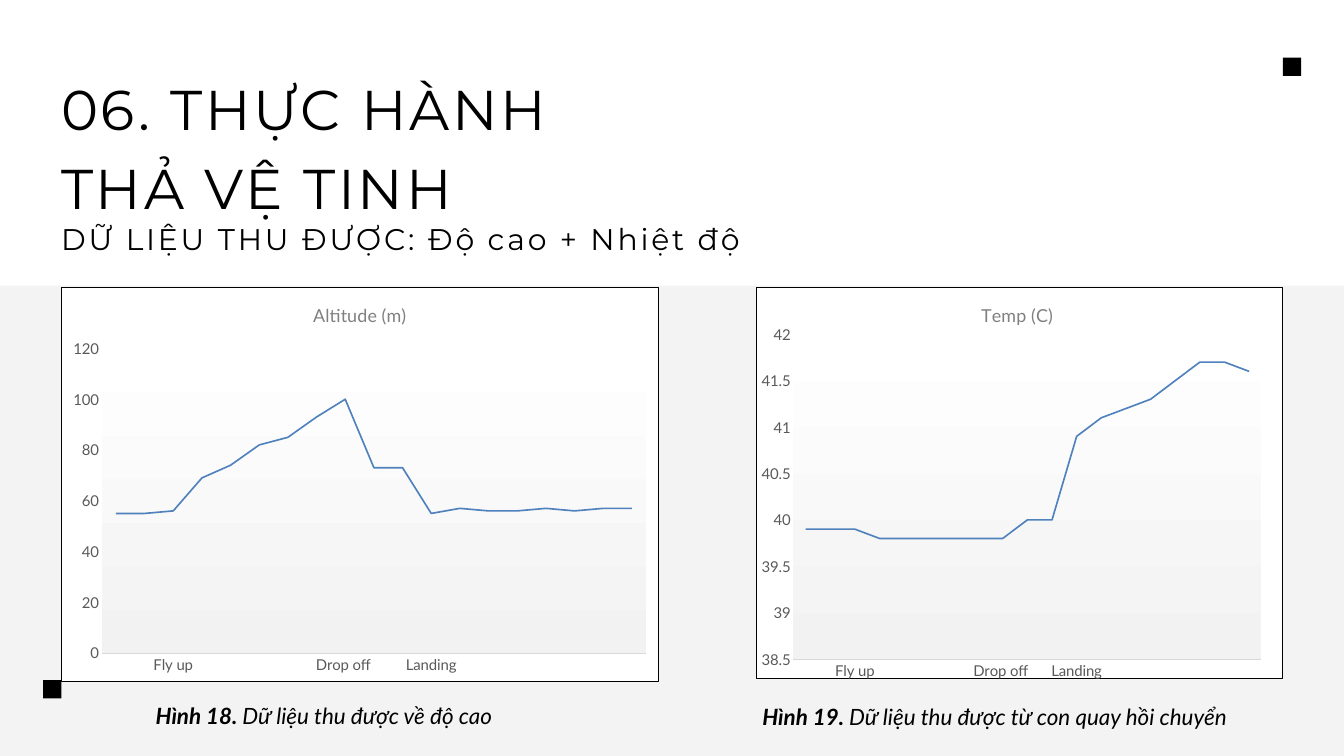
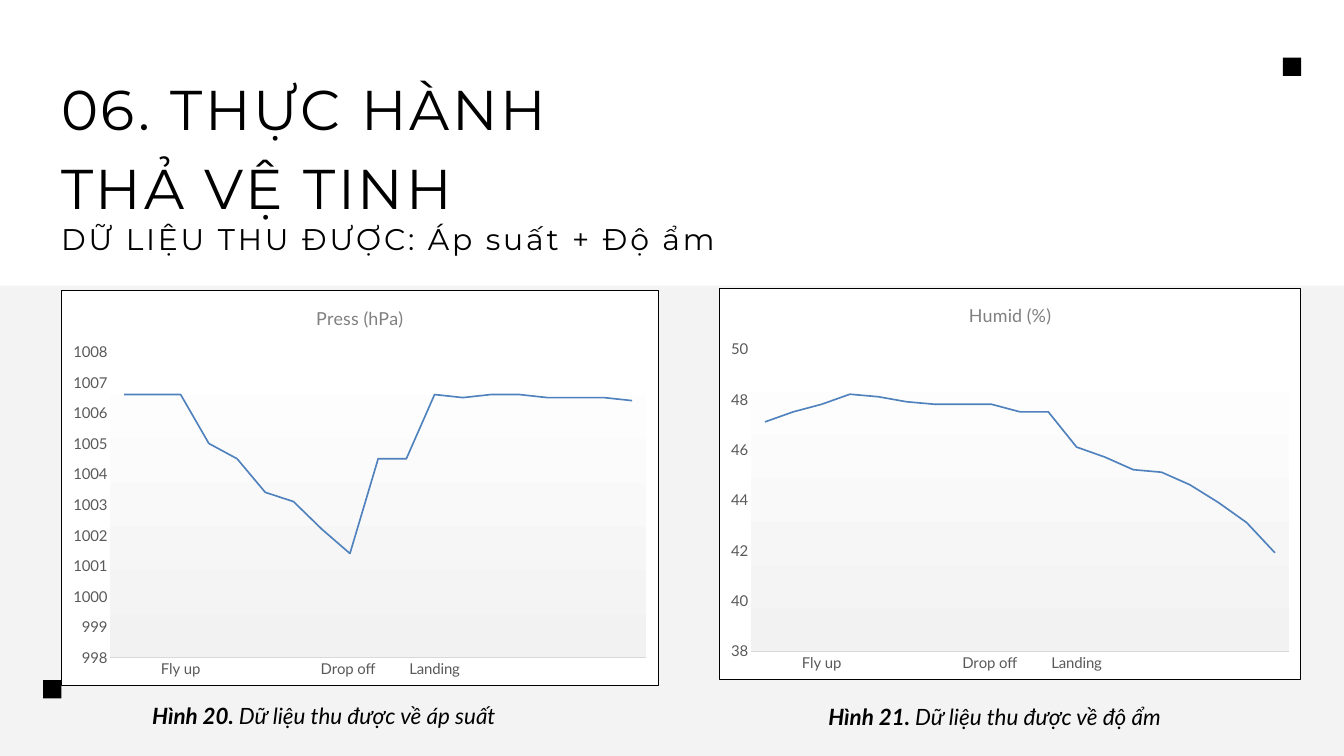
from pptx import Presentation
from pptx.chart.data import CategoryChartData
from pptx.dml.color import RGBColor
from pptx.enum.chart import XL_CHART_TYPE as ChartType, XL_TICK_MARK as TickMark
from pptx.enum.shapes import MSO_SHAPE as Preset
from pptx.enum.text import MSO_ANCHOR as Anchor, PP_ALIGN as Align
from pptx.oxml import parse_xml
from pptx.oxml.ns import nsdecls, qn
from pptx.util import Cm, Pt

# Shared style
COLORS = {
    "black": "000000", "white": "FFFFFF", "band": "F2F1F1", "plot": "F2F2F2",
    "line": "4F81BD", "axis": "D9D9D9", "label": "595959", "title": "808080",
}
HEADING_FONT, BODY_FONT = "Montserrat", "Lato"
SLIDE_WIDTH, SLIDE_HEIGHT = 50.8, 28.58
MARGIN, BAND_TOP = 2.31, 10.8
SQUARE = 0.69
SQUARE_CORNERS = [(1.63, 25.71), (48.49, 2.18)]
CAPTION_BOXES = [(-0.46, 26.42, 25.4, 1.27), (24.89, 26.47, 25.4, 1.27)]

# Content
TITLE = "06. THỰC HÀNH THẢ VỆ TINH"
SUBTITLE = "DỮ LIỆU THU ĐƯỢC: "
EVENTS = {2: "Fly up", 8: "Drop off ", 11: "Landing"}
SLIDES = [
    ("Độ cao + Nhiệt độ", [
        {"title": "Altitude (m)", "figure": "Hình 18. ",
         "caption": "Dữ liệu thu được về độ cao",
         "box": (MARGIN, 10.85, 22.58, 14.91), "scale": (0, 120, 20),
         "values": [55, 55, 56, 69, 74, 82, 85, 93, 100, 73, 73, 55,
                    57, 56, 56, 57, 56, 57, 57]},
        {"title": "Temp (C) ", "figure": "Hình 19. ",
         "caption": "Dữ liệu thu được từ con quay hồi chuyển",
         "box": (28.58, 10.85, 19.91, 14.83), "scale": (38.5, 42, 0.5),
         "type": ChartType.LINE_STACKED,
         "plot": {"x": 0.07, "y": 0.12, "w": 0.89, "h": 0.83},
         "values": [39.9, 39.9, 39.9, 39.8, 39.8, 39.8, 39.8, 39.8, 39.8, 40, 40, 40.9,
                    41.1, 41.2, 41.3, 41.5, 41.7, 41.7, 41.6]},
    ]),
    ("Áp suất + Độ ẩm", [
        {"title": "Press (hPa)", "figure": "Hình 20. ",
         "caption": "Dữ liệu thu được về áp suất",
         "box": (MARGIN, 10.97, 22.58, 14.96), "scale": (998, 1008, 1),
         "values": [1006.6, 1006.6, 1006.6, 1005, 1004.5, 1003.4, 1003.1, 1002.2, 1001.4,
                    1004.5, 1004.5, 1006.6, 1006.5, 1006.6, 1006.6, 1006.5, 1006.5,
                    1006.5, 1006.4]},
        {"title": "Humid (%)", "figure": "Hình 21. ",
         "caption": "Dữ liệu thu được về độ ẩm",
         "box": (27.18, 10.87, 22, 14.81), "scale": (38, 50, 2),
         "values": [47.1, 47.5, 47.8, 48.2, 48.1, 47.9, 47.8, 47.8, 47.8, 47.5, 47.5, 46.1,
                    45.7, 45.2, 45.1, 44.6, 43.9, 43.1, 41.9]},
    ]),
]


def color(name):
    return RGBColor.from_string(COLORS[name])


def lengths(box):
    return [Cm(value) for value in box]


def style_font(font, name, size, color_name):
    font.name, font.size = name, Pt(size)
    font.color.rgb = color(color_name)


# Shapes and text
def add_block(slide, box, color_name, alpha=None):
    shape = slide.shapes.add_shape(Preset.RECTANGLE, *lengths(box))
    shape.shadow.inherit = False
    shape.fill.solid()
    shape.fill.fore_color.rgb = color(color_name)
    shape.line.fill.background()
    if alpha:
        fill_color = shape.fill._xPr.find(".//" + qn("a:srgbClr"))
        fill_color.append(parse_xml(f'<a:alpha {nsdecls("a")} val="{alpha * 1000}"/>'))


def add_paragraph_box(slide, box):
    frame = slide.shapes.add_textbox(*lengths(box)).text_frame
    frame.word_wrap = True
    frame.vertical_anchor = Anchor.TOP
    return frame, frame.paragraphs[0]


def add_heading(slide, box, text, size, line_height):
    frame, paragraph = add_paragraph_box(slide, box)
    frame.margin_left = frame.margin_right = frame.margin_top = frame.margin_bottom = 0
    paragraph.line_spacing = Pt(line_height)
    style_font(paragraph.font, HEADING_FONT, size, "black")
    run = paragraph.add_run()
    run.text = text
    run._r.get_or_add_rPr().set("spc", "300")


def add_caption(slide, box, figure, caption):
    _, paragraph = add_paragraph_box(slide, box)
    paragraph.alignment = Align.CENTER
    paragraph.space_after = Pt(10)
    style_font(paragraph.font, BODY_FONT, 24, "black")
    paragraph.font.italic = True
    for text, bold in ((figure, True), (caption, False)):
        run = paragraph.add_run()
        run.text, run.font.bold = text, bold


# Charts
def style_axis(axis):
    axis.has_major_gridlines = False
    axis.major_tick_mark = axis.minor_tick_mark = TickMark.NONE
    style_font(axis.tick_labels.font, BODY_FONT, 16, "label")
    body = axis._element.find(qn("c:txPr")).find(qn("a:bodyPr"))
    body.set("rot", "-60000000")
    body.set("vert", "horz")


def fill_chart_areas(chart, plot):
    chart_space = chart._chartSpace
    chart_element = chart_space.find(qn("c:chart"))
    plot_area = chart_element.find(qn("c:plotArea"))
    chart_element.addnext(parse_xml(
        f'<c:spPr {nsdecls("c", "a")}>'
        f'<a:solidFill><a:srgbClr val="{COLORS["white"]}"/></a:solidFill>'
        f'<a:ln w="9525"><a:solidFill><a:srgbClr val="{COLORS["black"]}"/></a:solidFill></a:ln>'
        '</c:spPr>'))
    stops = "".join(f'<a:gs pos="{position}"><a:srgbClr val="{COLORS[name]}"/></a:gs>'
                    for position, name in ((0, "white"), (100000, "plot")))
    plot_area.append(parse_xml(
        f'<c:spPr {nsdecls("c", "a")}><a:gradFill><a:gsLst>{stops}</a:gsLst>'
        '<a:lin ang="5400000" scaled="0"/></a:gradFill><a:ln><a:noFill/></a:ln></c:spPr>'))
    if plot:
        for layout in plot_area.findall(qn("c:layout")):
            plot_area.remove(layout)
        modes = "".join(f'<c:{side}Mode val="edge"/>' for side in "xy")
        sizes = "".join(f'<c:{side} val="{value}"/>' for side, value in plot.items())
        plot_area.insert(0, parse_xml(
            f'<c:layout {nsdecls("c")}><c:manualLayout><c:layoutTarget val="inner"/>'
            f'{modes}{sizes}</c:manualLayout></c:layout>'))


def add_line_chart(slide, item):
    data = CategoryChartData()
    data.categories = [EVENTS.get(index, "") for index in range(len(item["values"]))]
    data.add_series(item["title"], item["values"])
    chart = slide.shapes.add_chart(
        item.get("type", ChartType.LINE), *lengths(item["box"]), data).chart
    style_font(chart.font, BODY_FONT, 16, "black")
    chart.has_legend = False
    chart.has_title = True
    chart.chart_title.include_in_layout = False
    paragraph = chart.chart_title.text_frame.paragraphs[0]
    paragraph.text = item["title"]
    style_font(paragraph.font, BODY_FONT, 19.2, "title")
    paragraph.font.bold = False

    category_axis, value_axis = chart.category_axis, chart.value_axis
    for axis in (category_axis, value_axis):
        style_axis(axis)
    category_axis.format.line.color.rgb = color("axis")
    category_axis.format.line.width = Pt(0.75)
    value_axis.format.line.fill.background()
    low, high, step = item["scale"]
    value_axis.minimum_scale, value_axis.maximum_scale = low, high
    value_axis.major_unit = step

    chart.plots[0].vary_by_categories = False
    series = chart.plots[0].series[0]
    series.smooth = False
    series.format.line.color.rgb = color("line")
    series.format.line.width = Pt(1.75)
    fill_chart_areas(chart, item.get("plot"))


def add_data_slide(presentation, topic, items):
    slide = presentation.slides.add_slide(presentation.slide_layouts[6])
    add_block(slide, (0, BAND_TOP, SLIDE_WIDTH, SLIDE_HEIGHT - BAND_TOP), "band", alpha=80)
    add_heading(slide, (MARGIN, 2.41, 19.84, 5.77), TITLE, 60, 84)
    for left, top in SQUARE_CORNERS:
        add_block(slide, (left, top, SQUARE, SQUARE), "black")
    add_heading(slide, (MARGIN, 8.23, 29.64, 1.4), SUBTITLE + topic, 32, 42)
    for box, item in zip(CAPTION_BOXES, items):
        add_caption(slide, box, item["figure"], item["caption"])
    for item in items:
        add_line_chart(slide, item)


def main():
    presentation = Presentation()
    presentation.slide_width, presentation.slide_height = Cm(SLIDE_WIDTH), Cm(SLIDE_HEIGHT)
    for topic, items in SLIDES:
        add_data_slide(presentation, topic, items)
    presentation.save("out.pptx")


if __name__ == "__main__":
    main()
